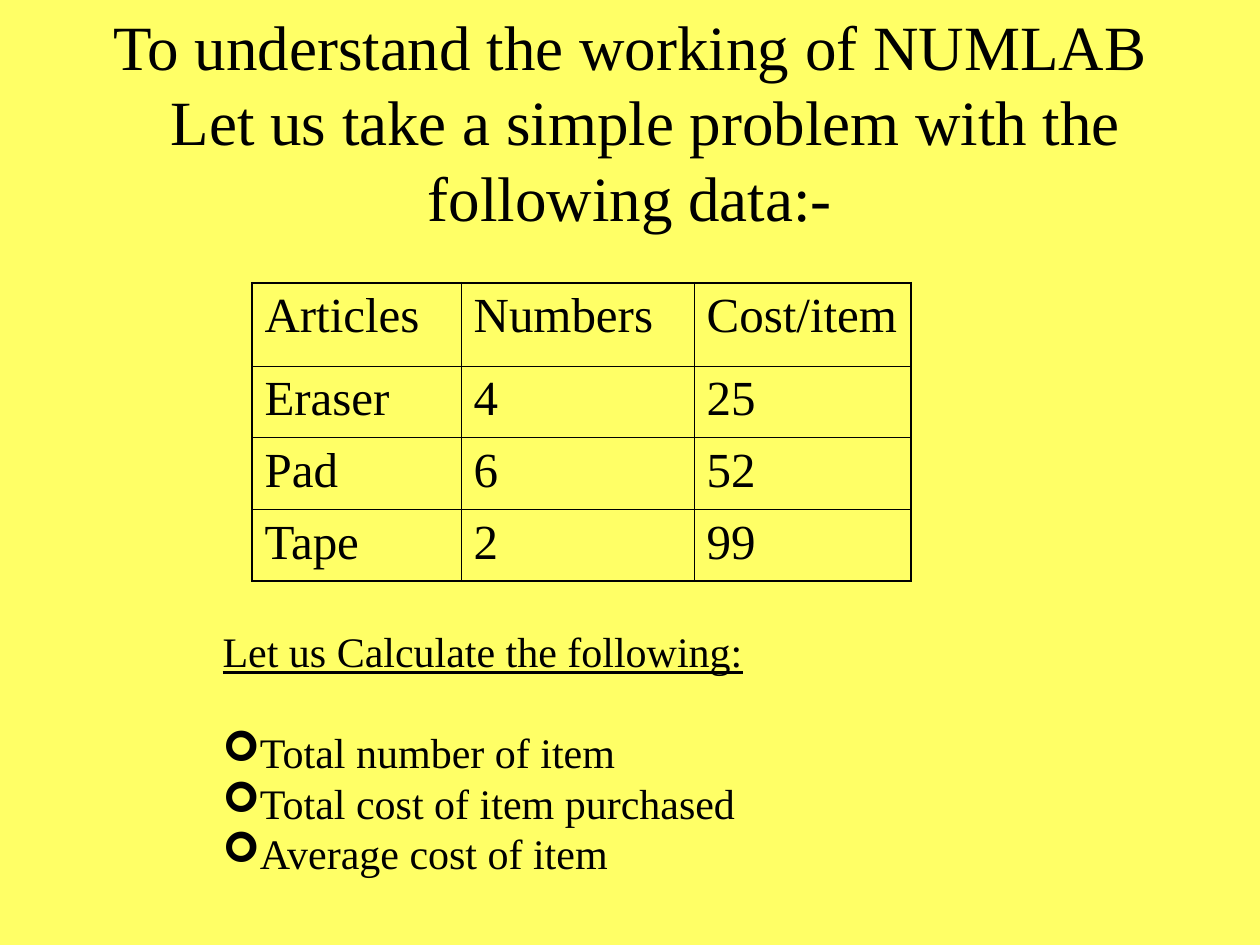
from lxml.etree import SubElement
from pptx import Presentation
from pptx.dml.color import RGBColor
from pptx.enum.text import MSO_ANCHOR as Anchor, MSO_AUTO_SIZE as Fit, PP_ALIGN as Align
from pptx.oxml.ns import qn
from pptx.util import Pt

TITLE = ["To understand the working of NUMLAB",
         "Let us take a simple problem with the following data:-"]
ROWS = [("Articles", "Numbers", "Cost/item"),
        ("Eraser", "4", "25"),
        ("Pad", "6", "52"),
        ("Tape", "2", "99")]
HEADING = "Let us Calculate the following:"
TASKS = ["Total number of item", "Total cost of item purchased", "Average cost of item"]

FONT, BULLET_FONT, INK, PAPER = "Times New Roman", "Wingdings", "000000", "FFFF66"
COLS, HEIGHTS = [119.5, 133.2, 123.8], [47.5, 41, 41, 41]
THICK, THIN = 1.08, 0.45


def rgb(value):
    return RGBColor.from_string(value)


def put(sp, left, top, width, height):
    box = dict(left=left, top=top, width=width, height=height)
    for name, value in box.items():
        setattr(sp, name, Pt(value))


def write(p, text, size, align=Align.LEFT, before=0, underline=False):
    p.alignment, p.space_before = align, Pt(before)
    r = p.add_run()
    r.text = text
    look = dict(name=FONT, size=Pt(size), bold=False, underline=underline)
    for name, value in look.items():
        setattr(r.font, name, value)
    r.font.color.rgb = rgb(INK)


def paragraphs(tf, count):
    return [tf.paragraphs[0]] + [tf.add_paragraph() for _ in range(count - 1)]


def indent(p, first=0, bullet=None):
    pPr = p._p.get_or_add_pPr()
    pPr.set("marL", "0")
    pPr.set("indent", str(Pt(first)))
    if bullet:
        color = SubElement(pPr, qn("a:buClr"))
        SubElement(color, qn("a:srgbClr"), val=INK)
        SubElement(pPr, qn("a:buFont"), typeface=BULLET_FONT)
        SubElement(pPr, qn("a:buChar"), char=bullet)
    else:
        SubElement(pPr, qn("a:buNone"))


def border(cell, side, width):
    ln = SubElement(cell._tc.get_or_add_tcPr(), qn(f"a:ln{side}"), w=str(Pt(width)))
    fill = SubElement(ln, qn("a:solidFill"))
    SubElement(fill, qn("a:srgbClr"), val=INK)


def add_title(s):
    sp = s.shapes.title
    put(sp, 0, 0, 720, 138)
    tf = sp.text_frame
    tf.auto_size, tf.vertical_anchor = Fit.NONE, Anchor.MIDDLE
    for p, text, first in zip(paragraphs(tf, len(TITLE)), TITLE, (0, 18)):
        indent(p, first)
        write(p, text, 36, Align.CENTER)


def add_articles(s):
    table = s.shapes.add_table(len(ROWS), len(COLS), Pt(144), Pt(161.6),
                               Pt(sum(COLS)), Pt(sum(HEIGHTS))).table
    table.first_row = table.horz_banding = False
    for col, width in zip(table.columns, COLS):
        col.width = Pt(width)
    for row, height in zip(table.rows, HEIGHTS):
        row.height = Pt(height)
    for i, row in enumerate(ROWS):
        for j, text in enumerate(row):
            cell = table.cell(i, j)
            outer = dict(L=j == 0, R=j == len(COLS) - 1, T=i == 0, B=i == len(ROWS) - 1)
            for side, edge in outer.items():
                border(cell, side, THICK if edge else THIN)
            cell.fill.background()
            write(cell.text_frame.paragraphs[0], text, 28)


def add_tasks(s):
    sp = s.placeholders[1]
    put(sp, 120, 354, 450, 151.2)
    tf = sp.text_frame
    tf.auto_size, tf.vertical_anchor = Fit.SHAPE_TO_FIT_TEXT, Anchor.TOP
    head, *items = paragraphs(tf, len(TASKS) + 1)
    indent(head)
    write(head, HEADING, 24, underline=True)
    for k, (p, text) in enumerate(zip(items, TASKS)):
        indent(p, bullet="➢")
        write(p, text, 24, before=0 if k else 28.8)


def main():
    """Build the slide with the article table and the tasks to calculate."""
    prs = Presentation()
    prs.slide_width, prs.slide_height = Pt(720), Pt(540)
    s = prs.slides.add_slide(prs.slide_layouts[1])
    s.background.fill.solid()
    s.background.fill.fore_color.rgb = rgb(PAPER)
    add_title(s)
    add_articles(s)
    add_tasks(s)
    prs.save("out.pptx")


if __name__ == "__main__":
    main()
